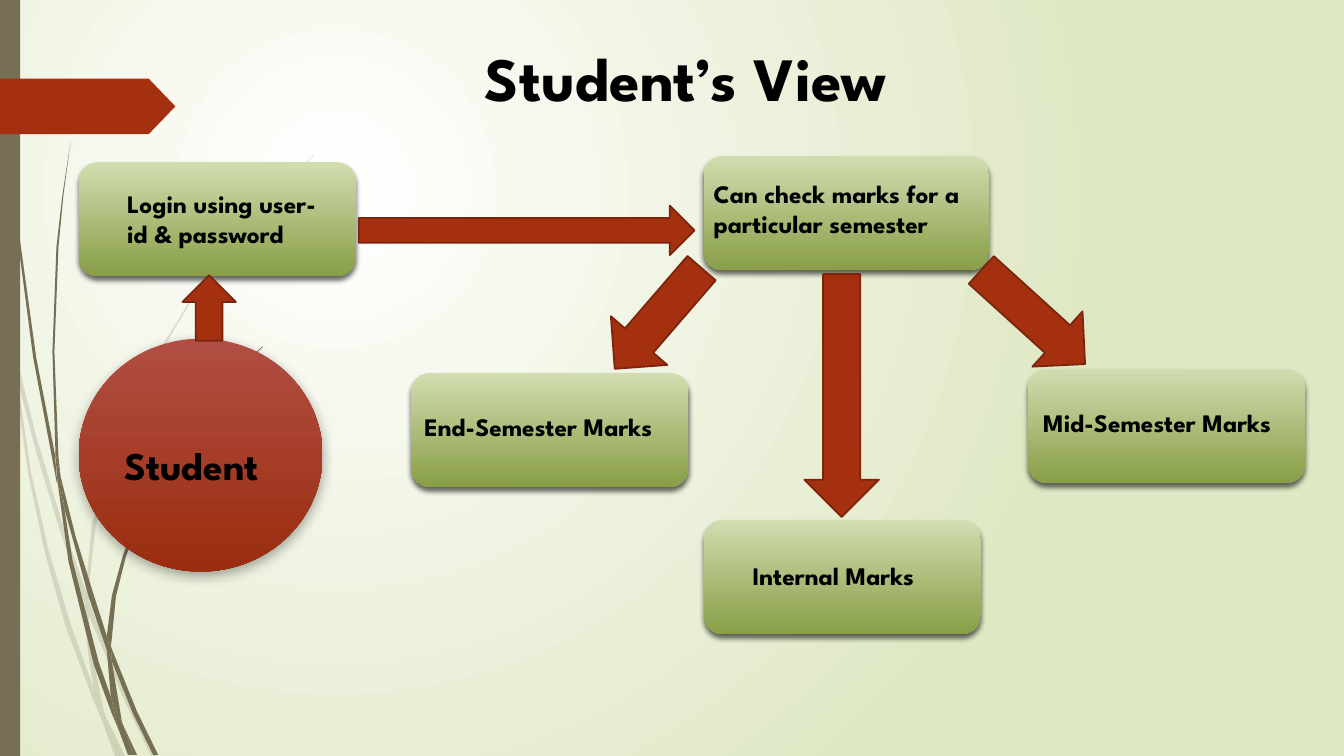
from dataclasses import dataclass

from lxml.etree import SubElement
from pptx import Presentation
from pptx.dml.color import RGBColor
from pptx.enum.shapes import MSO_SHAPE
from pptx.enum.text import MSO_ANCHOR, MSO_AUTO_SIZE, PP_ALIGN
from pptx.oxml.ns import qn
from pptx.util import Pt

# ---- Content (lengths in points) ----
TITLE = ("Student’s View", (309, 24.5, 362, 60.5))

# text, place, text insets (left, bottom, right)
BOXES = [
    ("Login using user-id & password", (56.2, 115.9, 198, 81.4), (30.6, 1, 12)),
    ("Can check marks for a particular semester", (502.6, 111.6, 203.8, 81.4), (3.2, 7, 0)),
    ("Mid-Semester Marks", (734.4, 263.5, 198, 81.4), (6.8, 5, 0)),
    ("End-Semester Marks", (293.8, 266.4, 198, 81.4), (5.4, 5, 0)),
    ("Internal Marks", (502.6, 371.5, 198, 81.4), (31, 2, 0)),
]
STUDENT = ("Student", (56.2, 241.9, 174.2, 166.3))

# preset, place, rotation
ARROWS = [
    (MSO_SHAPE.DOWN_ARROW, (711.4, 176.4, 53.3, 100.1), 312.2),
    (MSO_SHAPE.RIGHT_ARROW, (256.3, 146.9, 239.8, 35.3), 0),
    (MSO_SHAPE.UP_ARROW, (130.3, 196.6, 38.2, 46.8), 0),
    (MSO_SHAPE.DOWN_ARROW, (574.6, 195.8, 53.3, 173.5), 0),
    (MSO_SHAPE.DOWN_ARROW, (443.5, 180, 53.3, 95), 40.8),
]
SIDE_BAR = (0, 0, 14.4, 540)
RIBBON = (0, 56.2, 125.3, 39.6)

# Grass outlines, in units of GRASS_UNIT points
GRASS_UNIT = 0.72
PALE_GRASS = [
    [(11, 350), (9, 322), (0, 282), (0, 299), (10, 344)],
    [(58, 522), (84, 599), (85, 586), (62, 520), (36, 433), (14, 345), (17, 376), (36, 449)],
    [(92, 607), (88, 596), (88, 610), (123, 694), (150, 750), (155, 750), (127, 692)],
    [(119, 750), (124, 750), (105, 711)],
    [(93, 683), (70, 619), (48, 545), (31, 469), (17, 376), (11, 350), (28, 470),
     (44, 546), (65, 621), (92, 693), (101, 714), (99, 707)],
    [(84, 599), (87, 646), (93, 683), (96, 692), (105, 711), (103, 706), (91, 646),
     (88, 610), (88, 608)],
    [(88, 584), (95, 522), (110, 462), (132, 404), (160, 349), (192, 295), (229, 245),
     (268, 198), (290, 175), (312, 154), (312, 153), (289, 175), (268, 197), (228, 244),
     (191, 294), (158, 348), (129, 403), (107, 461), (91, 522), (85, 584), (85, 586),
     (88, 596)],
    [(101, 714), (114, 750), (119, 750)],
    [(88, 608), (88, 610), (88, 596), (85, 586), (84, 599)],
    [(96, 692), (93, 683), (99, 707), (101, 714), (119, 750), (105, 711)],
]
DARK_GRASS = [
    [(7, 110), (17, 233), (33, 355), (56, 477), (57, 481), (55, 457), (55, 453),
     (36, 355), (19, 232), (8, 109), (5, 48), (4, 0), (3, 0), (4, 48)],
    [(88, 592), (106, 645), (106, 633), (106, 631), (93, 590), (75, 532), (60, 472), (64, 505)],
    [(113, 649), (110, 641), (111, 656), (132, 708), (152, 749), (157, 749), (136, 706)],
    [(110, 691), (98, 657), (72, 556), (64, 505), (57, 477), (68, 557), (93, 659),
     (111, 708), (117, 722), (116, 717)],
    [(60, 472), (58, 453), (54, 349), (58, 245), (63, 193), (70, 141), (62, 193),
     (56, 245), (52, 349), (55, 449)],
    [(133, 749), (136, 749), (122, 719)],
    [(57, 477), (64, 505), (60, 472), (55, 449), (55, 453)],
    [(111, 633), (115, 592), (125, 552), (140, 513), (158, 476), (205, 406), (231, 374),
     (245, 359), (261, 344), (260, 344), (245, 358), (231, 373), (204, 405), (156, 474),
     (137, 512), (122, 551), (111, 591), (106, 631), (110, 641)],
    [(117, 722), (127, 749), (131, 749)],
    [(106, 645), (110, 691), (116, 706), (122, 719), (121, 716), (111, 656), (109, 651)],
    [(106, 645), (109, 651), (111, 656), (110, 641), (106, 631), (106, 633)],
    [(116, 706), (110, 691), (116, 717), (117, 722), (130, 749), (133, 749), (122, 719)],
]


@dataclass(frozen=True)
class Theme:
    font: str = "League Spartan"
    ink: str = "000000"
    halo: str = "FFFFFF"
    grass: str = "766F54"
    accent: str = "A53010"
    accent_edge: str = "7A240C"
    backdrop: tuple = ("FFFFFF", "DFE8C4")
    box: tuple = ("D1DDB0", "889E47")
    student: tuple = ("B14E43", "9A2D0F")
    title_size: int = 44
    student_size: int = 28
    label_size: int = 18


THEME = Theme()


# ---- Helpers ----
def color(code):
    return RGBColor.from_string(code)


def blend(fill, codes):
    """Two-stop gradient running from top to bottom."""
    fill.gradient()
    fill.gradient_angle = 270
    for stop, position, code in zip(fill.gradient_stops, (0, 1), codes):
        stop.position = position
        stop.color.rgb = color(code)


def paint(shape, fill, edge=None):
    shape.shadow.inherit = False
    if isinstance(fill, tuple):
        blend(shape.fill, fill)
    else:
        shape.fill.solid()
        shape.fill.fore_color.rgb = color(fill)
    if edge:
        shape.line.color.rgb = color(edge)
        shape.line.width = Pt(1.25)
    else:
        shape.line.fill.background()
    return shape


def add_preset(slide, preset, place, fill, edge=None):
    return paint(slide.shapes.add_shape(preset, *map(Pt, place)), fill, edge)


def cast_shadow(shape, *, opacity, blur, distance):
    effects = shape._element.spPr.find(qn("a:effectLst"))
    shadow = SubElement(effects, qn("a:outerShdw"), blurRad=str(Pt(blur)),
                        dist=str(Pt(distance)), dir="5400000", rotWithShape="0")
    black = SubElement(shadow, qn("a:srgbClr"), val="000000")
    SubElement(black, qn("a:alpha"), val=str(opacity * 1000))


def write(shape, text, *, size, align=PP_ALIGN.LEFT, insets=(7.2, 3.6, 7.2, 3.6)):
    """Insets run left, top, right, bottom."""
    frame = shape.text_frame
    frame.word_wrap = True
    frame.auto_size = MSO_AUTO_SIZE.NONE
    frame.vertical_anchor = MSO_ANCHOR.MIDDLE
    (frame.margin_left, frame.margin_top,
     frame.margin_right, frame.margin_bottom) = map(Pt, insets)
    paragraph = frame.paragraphs[0]
    paragraph.alignment = align
    run = paragraph.add_run()
    run.text = text
    run.font.name, run.font.size, run.font.bold = THEME.font, Pt(size), True
    run.font.color.rgb = color(THEME.ink)
    return run


def add_grass(slide, outlines, opacity):
    for start, *rest in outlines:
        builder = slide.shapes.build_freeform(*start, scale=Pt(GRASS_UNIT))
        builder.add_line_segments(rest, close=True)
        blade = paint(builder.convert_to_shape(), THEME.grass)
        tint = blade._element.spPr.find(qn("a:solidFill"))[0]
        SubElement(tint, qn("a:alpha"), val=str(opacity * 1000))


def main():
    deck = Presentation()
    deck.slide_width, deck.slide_height = Pt(960), Pt(540)
    slide = deck.slides.add_slide(deck.slide_layouts[5])

    # Backdrop: glow centred a quarter of the way in
    blend(slide.background.fill, THEME.backdrop)
    gradient = slide._element.find(".//" + qn("a:gradFill"))
    gradient.remove(gradient.find(qn("a:lin")))
    glow = SubElement(gradient, qn("a:path"), {"path": "circle"})
    SubElement(glow, qn("a:fillToRect"), l="50000", t="50000", r="100000", b="100000")

    # Grass, side bar and ribbon
    add_grass(slide, PALE_GRASS, 20)
    add_grass(slide, DARK_GRASS, 100)
    add_preset(slide, MSO_SHAPE.RECTANGLE, SIDE_BAR, THEME.grass)
    ribbon = add_preset(slide, MSO_SHAPE.PENTAGON, RIBBON, THEME.accent)
    ribbon.adjustments[0] = 0.48

    # Title with a thin halo
    heading, place = TITLE
    title = slide.shapes.title
    title.left, title.top, title.width, title.height = map(Pt, place)
    run = write(title, heading, size=THEME.title_size, align=PP_ALIGN.CENTER)
    style = run._r.get_or_add_rPr()
    halo = SubElement(style, qn("a:ln"), w=str(Pt(0.75)))
    SubElement(SubElement(halo, qn("a:solidFill")), qn("a:srgbClr"), val=THEME.halo)
    style.insert(0, halo)

    # Boxes and student
    for label, place, (left, bottom, right) in BOXES:
        box = add_preset(slide, MSO_SHAPE.ROUNDED_RECTANGLE, place, THEME.box)
        cast_shadow(box, opacity=60, blur=4, distance=3)
        write(box, label, size=THEME.label_size, insets=(left, 0, right, bottom))
    name, place = STUDENT
    student = add_preset(slide, MSO_SHAPE.OVAL, place, THEME.student)
    cast_shadow(student, opacity=35, blur=9, distance=3)
    write(student, name, size=THEME.student_size, insets=(7.2, 14, 7.2, 0))

    # Arrows
    for preset, place, rotation in ARROWS:
        arrow = add_preset(slide, preset, place, THEME.accent, THEME.accent_edge)
        arrow.rotation = rotation

    deck.save("out.pptx")


if __name__ == "__main__":
    main()
